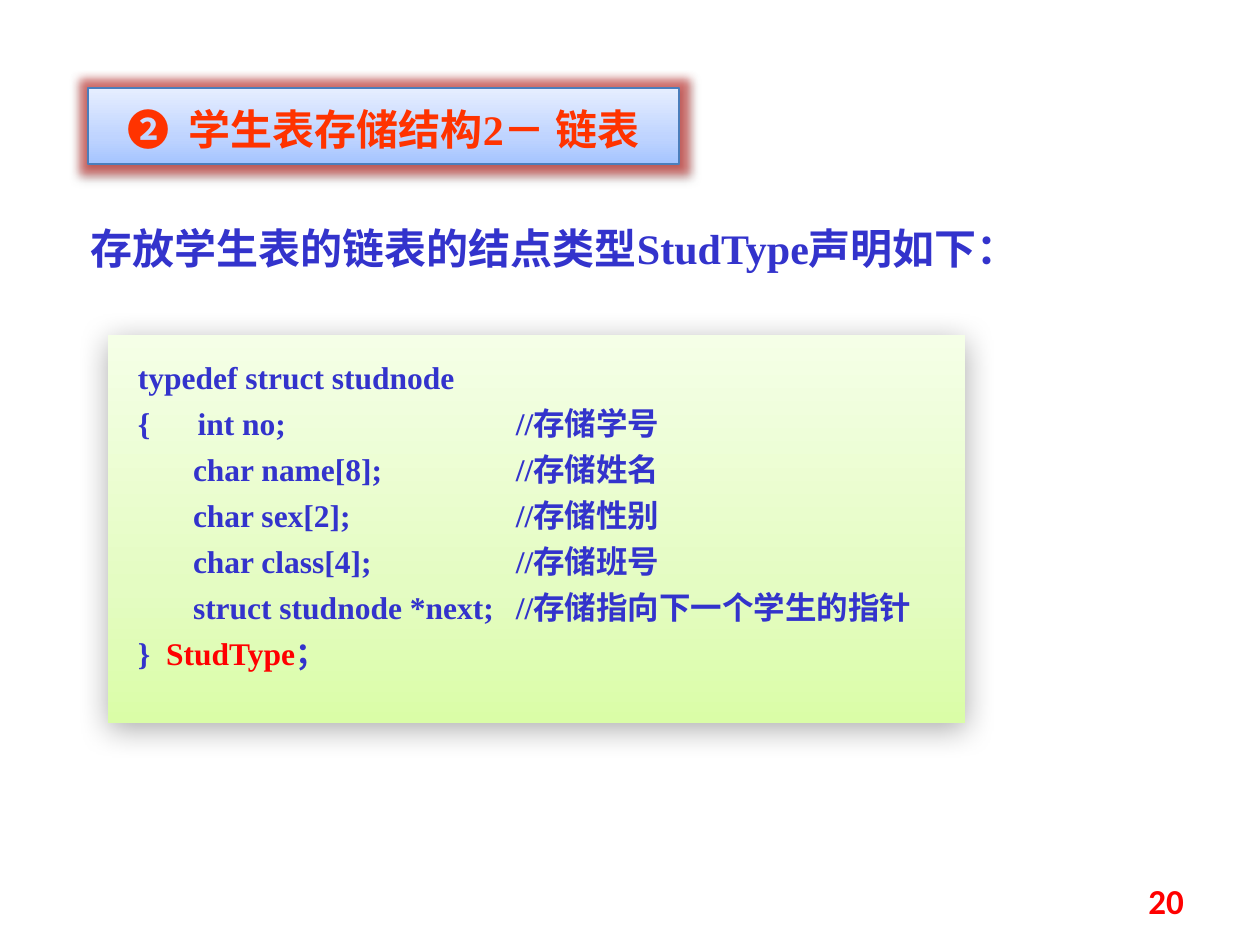
"""Build the slide that declares the linked-list node type of a student table."""
from lxml import etree
from pptx import Presentation
from pptx import util as u
from pptx.dml.color import RGBColor
from pptx.enum import shapes, text
from pptx.oxml.ns import qn

PX = 914400 / 126
THEME = {
    "serif": "Times New Roman", "sans": "Calibri",
    "blue": "3333CC", "orange": "FF3300", "red": "FF0000",
    "border": "4B7EBC", "glow": "D1322E", "shadow": "000000",
    "sky": [(0, "A4C4FF"), (35, "BFD4FF"), (100, "E6EEFF")],
    "lime": [(0, "DAFDA7"), (35, "E4FCC2"), (100, "F5FFE7")],
    "heading": 24, "code": 18, "number": 20,
}


def style_panel(panel, stops, effects):
    """Give a panel its upward gradient and its effects."""
    panel.fill.gradient()
    panel.fill.gradient_angle = 90
    panel.shadow.inherit = False
    properties = panel._element.spPr
    stop_list = properties.find(".//" + qn("a:gsLst"))
    stop_list.clear()
    for position, color in stops:
        stop = etree.SubElement(stop_list, qn("a:gs"), pos=str(position * 1000))
        etree.SubElement(stop, qn("a:srgbClr"), val=color)
    effect_list = properties.find(qn("a:effectLst"))
    for tag, color, alpha, settings in effects:
        effect = etree.SubElement(effect_list, qn(tag), settings)
        tint = etree.SubElement(effect, qn("a:srgbClr"), val=color)
        etree.SubElement(tint, qn("a:alpha"), val=str(alpha * 1000))


def add_run(paragraph, words, color, size, face=THEME["serif"]):
    """Append one bold run."""
    run = paragraph.add_run()
    run.text = words
    run.font.name = face
    run.font.size = u.Pt(size)
    run.font.bold = True
    run.font.color.rgb = RGBColor.from_string(color)


deck = Presentation()
deck.slide_width, deck.slide_height = u.Inches(10), u.Inches(7.5)
slide = deck.slides.add_slide(deck.slide_layouts[1])
heading, intro = slide.placeholders
code = slide.shapes.add_shape(shapes.MSO_SHAPE.RECTANGLE, 0, 0, 0, 0)
number = slide.shapes.add_textbox(0, 0, 0, 0)

top, middle = text.MSO_ANCHOR.TOP, text.MSO_ANCHOR.MIDDLE
for part, box, insets, anchor in [
    (heading, (88, 88, 591, 76), (13, 10, 13, 10), middle),
    (intro, (78, 217, 959, 63), (13, 6, 13, 6), top),
    (code, (108, 335, 857, 388), (30, 30, 13, 30), top),
    (number, (903, 876, 294, 50), (13, 6, 13, 6), middle),
]:
    part.left, part.top, part.width, part.height = [u.Emu(round(n * PX)) for n in box]
    frame = part.text_frame
    frame.margin_left, frame.margin_top, frame.margin_right, frame.margin_bottom = [
        u.Emu(round(n * PX)) for n in insets]
    frame.word_wrap = True
    frame.auto_size = text.MSO_AUTO_SIZE.NONE
    frame.vertical_anchor = anchor

style_panel(heading, THEME["sky"], [
    ("a:glow", THEME["glow"], 60, {"rad": "139700"}),
    ("a:outerShdw", THEME["shadow"], 38,
     {"blurRad": "39370", "dist": "20320", "dir": "5400000", "rotWithShape": "0"}),
])
heading.line.color.rgb = RGBColor.from_string(THEME["border"])
heading.line.width = u.Pt(0.75)
title_line = heading.text_frame.paragraphs[0]
title_line.alignment = text.PP_ALIGN.CENTER
title_line.line_spacing = 1.1
add_run(title_line, "❷  学生表存储结构2－ 链表", THEME["orange"], THEME["heading"])

sentence = intro.text_frame.paragraphs[0]
sentence.alignment = text.PP_ALIGN.JUSTIFY
sentence.space_before = u.Pt(0)
hanging = sentence._p.get_or_add_pPr()
hanging.set("marL", str(round(63 * PX)))
hanging.set("indent", str(-round(63 * PX)))
etree.SubElement(hanging, qn("a:buNone"))
add_run(sentence, "存放学生表的链表的结点类型StudType声明如下：", THEME["blue"], THEME["heading"])

style_panel(code, THEME["lime"], [
    ("a:outerShdw", THEME["shadow"], 33,
     {"blurRad": "226060", "dist": "50800", "dir": "5220000", "rotWithShape": "0"}),
])
code.line.fill.background()
blue, red = THEME["blue"], THEME["red"]
for index, runs in enumerate([
    [("typedef struct studnode", blue)],
    [("{      int no;\t//存储学号", blue)],
    [("       char name[8];\t//存储姓名", blue)],
    [("       char sex[2];\t//存储性别", blue)],
    [("       char class[4];\t//存储班号", blue)],
    [("       struct studnode *next;\t//存储指向下一个学生的指针", blue)],
    [("}  ", blue), ("StudType", red), ("；", blue)],
]):
    lines = code.text_frame
    line = lines.add_paragraph() if index else lines.paragraphs[0]
    line.alignment = text.PP_ALIGN.JUSTIFY
    line.line_spacing = 0.8
    line.space_before = u.Pt(9 if index else 0)
    tabs = etree.SubElement(line._p.get_or_add_pPr(), qn("a:tabLst"))
    etree.SubElement(tabs, qn("a:tab"), pos=str(round(378 * PX)), algn="l")
    for words, color in runs:
        add_run(line, words, color, THEME["code"])

page = number.text_frame.paragraphs[0]
page.alignment = text.PP_ALIGN.RIGHT
add_run(page, "20", THEME["red"], THEME["number"], THEME["sans"])

deck.save("out.pptx")
